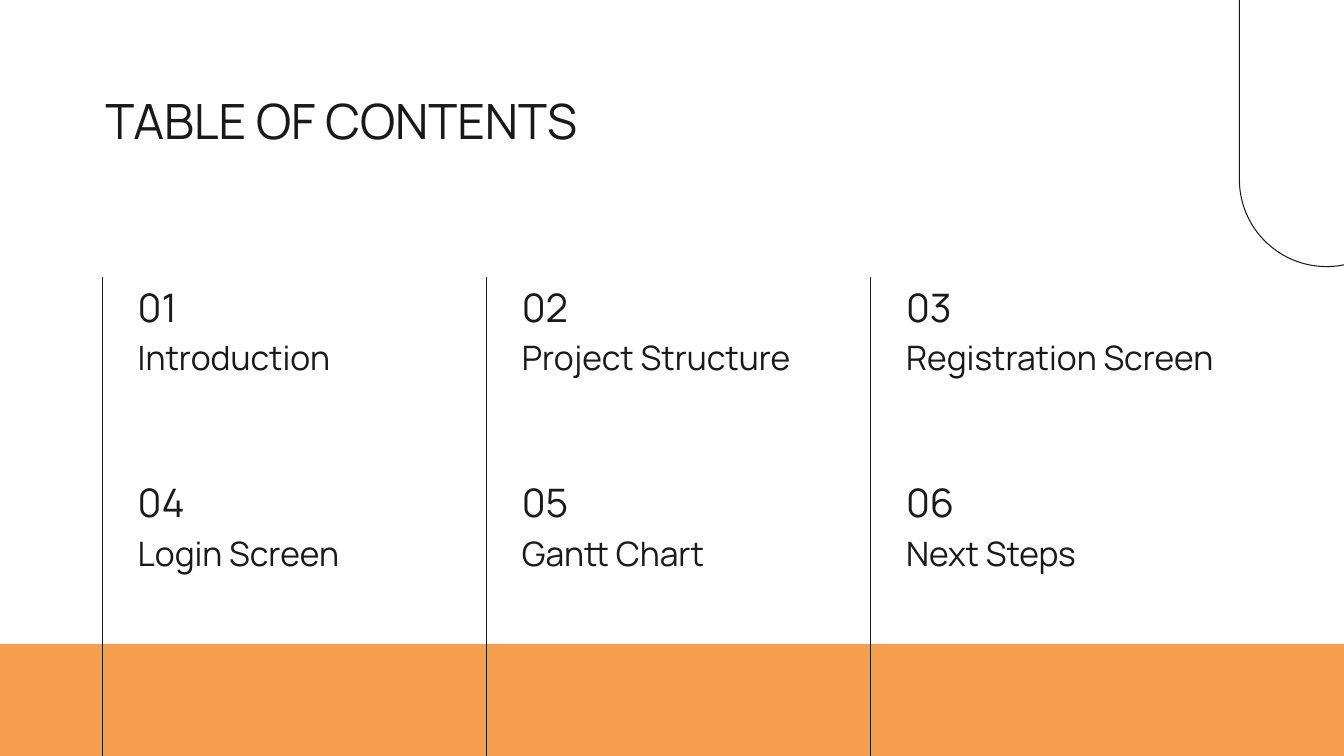
from typing import NamedTuple

from lxml import etree
from pptx import Presentation
from pptx.dml.color import RGBColor
from pptx.enum.shapes import MSO_CONNECTOR, MSO_SHAPE
from pptx.enum.text import MSO_ANCHOR
from pptx.oxml.ns import qn
from pptx.util import Pt

RECT, PILL = MSO_SHAPE.RECTANGLE, MSO_SHAPE.ROUNDED_RECTANGLE
LINE = MSO_CONNECTOR.STRAIGHT
TOP, BOTTOM = MSO_ANCHOR.TOP, MSO_ANCHOR.BOTTOM

WIDE, HIGH = 960, 540
FONT, INK, ORANGE = "Manrope", "191919", "F5A04F"
INSET, STROKE = 9.1, 0.75
LEFT, HEAD = 89.28, 198
STEP_X, STEP_Y = 274.4, 139.68
COLS = 3


class Box(NamedTuple):
    left: float
    top: float
    width: float
    height: float


class Topic(NamedTuple):
    number: str
    name: str
    width: float = 242


TOPICS = [
    Topic("01", "Introduction"),
    Topic("02", "Project Structure"),
    Topic("03", "Registration Screen", 295.2),
    Topic("04", "Login Screen"),
    Topic("05", "Gantt Chart"),
    Topic("06", "Next Steps"),
]


def color(code: str) -> RGBColor:
    return RGBColor.from_string(code)


def add_text(slide, box: Box, text: str, size: float, anchor=TOP) -> None:
    frame = slide.shapes.add_textbox(*map(Pt, box)).text_frame
    frame.word_wrap = True
    frame.vertical_anchor = anchor
    frame.margin_left = frame.margin_right = Pt(INSET)
    frame.margin_top = frame.margin_bottom = Pt(INSET)
    line = frame.paragraphs[0]
    line.text = text
    line.font.name = FONT
    line.font.size = Pt(size)
    line.font.color.rgb = color(INK)


def add_band(slide) -> None:
    band = slide.shapes.add_shape(RECT, *map(Pt, Box(0, 460, WIDE, 80)))
    band.shadow.inherit = False
    band.fill.solid()
    band.fill.fore_color.rgb = color(ORANGE)
    band.line.fill.background()


def add_pill(slide) -> None:
    box = Box(730.8, -88.56, 433.44, 124.56)
    pill = slide.shapes.add_shape(PILL, *map(Pt, box))
    pill.rotation = 90
    pill.adjustments[0] = 0.5
    pill.shadow.inherit = False
    pill.fill.background()
    pill.line.color.rgb = color(INK)
    pill.line.width = Pt(STROKE)


def add_rule(slide, x: float) -> None:
    rule = slide.shapes.add_connector(LINE, Pt(x), Pt(HEAD), Pt(x), Pt(HIGH))
    rule.line.color.rgb = color(INK)
    rule.line.width = Pt(STROKE)
    etree.SubElement(rule._element.spPr, qn("a:effectLst"))


def add_topic(slide, topic: Topic, x: float, y: float) -> None:
    add_text(slide, Box(x, y, 77, 46.8), topic.number, 28, BOTTOM)
    add_text(slide, Box(x, y + 33.84, topic.width, 54), topic.name, 24)


def main() -> None:
    deck = Presentation()
    deck.slide_width, deck.slide_height = Pt(WIDE), Pt(HIGH)
    slide = deck.slides.add_slide(deck.slide_layouts[6])

    # Backdrop
    add_band(slide)
    add_pill(slide)

    # Title
    add_text(slide, Box(66.24, 56.16, 451.44, 134.64), "TABLE OF CONTENTS", 34.7)

    # Grid of topics
    for index, topic in enumerate(TOPICS):
        row, col = divmod(index, COLS)
        add_topic(slide, topic, LEFT + col * STEP_X, HEAD + row * STEP_Y)

    # Column rules
    for col in range(COLS):
        add_rule(slide, LEFT - 16.4 + col * STEP_X)

    deck.save("out.pptx")


if __name__ == "__main__":
    main()
